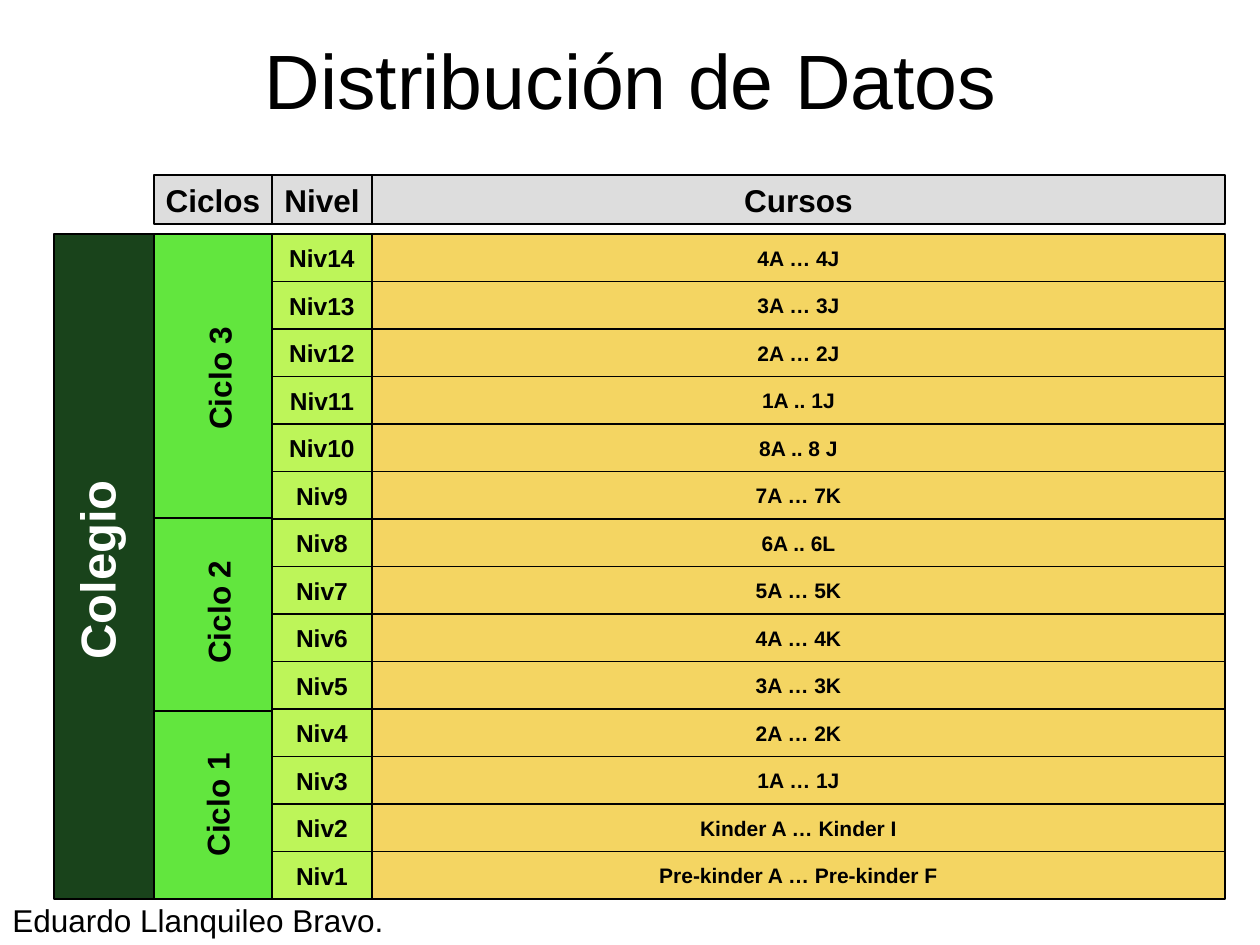
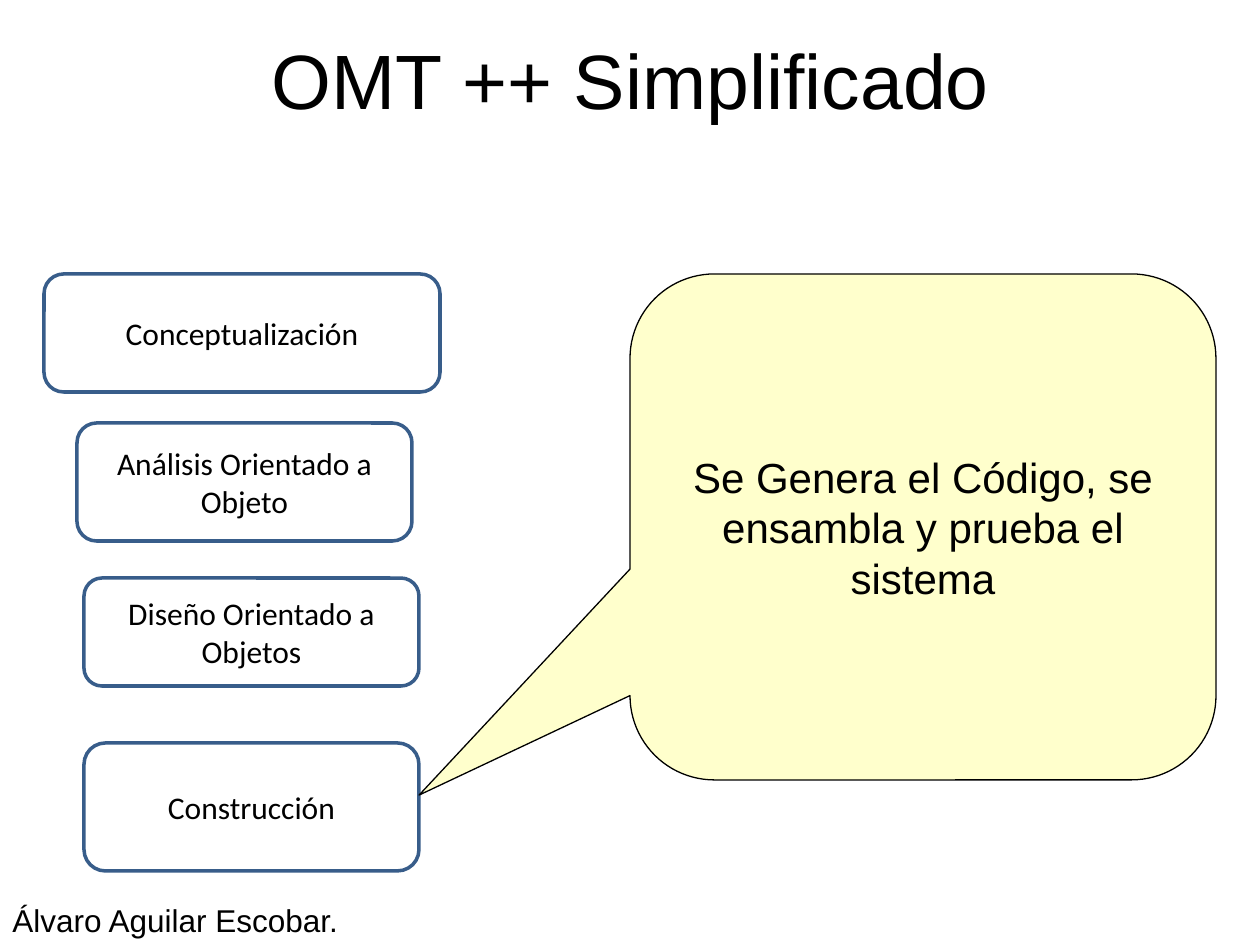
import pptx
import pptx.util
from pptx.dml.color import RGBColor
from pptx.enum.shapes import MSO_SHAPE
from pptx.enum.text import MSO_ANCHOR, PP_ALIGN

PX_PER_INCH = 126
BLACK = RGBColor(0x00, 0x00, 0x00)
WHITE = RGBColor(0xFF, 0xFF, 0xFF)
GREY = RGBColor(0xDD, 0xDD, 0xDD)
DARK_GREEN = RGBColor(0x19, 0x43, 0x1B)
GREEN = RGBColor(0x62, 0xE6, 0x3E)
LIME = RGBColor(0xBD, 0xF5, 0x59)
GOLD = RGBColor(0xF4, 0xD5, 0x62)
BLUE = RGBColor(0x38, 0x5D, 0x8A)
CREAM = RGBColor(0xFF, 0xFF, 0xCC)

# Columns and rows of the school grid
SCHOOL_X, CYCLE_X, LEVEL_X, COURSE_X, RIGHT = 54, 154, 272, 372, 1225
HEADER_TOP, HEADER_HEIGHT = 175, 49
GRID_TOP, GRID_BOTTOM = 234, 899
COURSES = [
    "4A … 4J", "3A … 3J", "2A … 2J", "1A .. 1J", "8A .. 8 J", "7A … 7K", "6A .. 6L",
    "5A … 5K", "4A … 4K", "3A … 3K", "2A … 2K", "1A … 1J",
    "Kinder A … Kinder I", "Pre-kinder A … Pre-kinder F",
]
# Name, top and bottom, label centre, label length
CYCLES = [
    ("Ciclo 3", 234, 518, (219, 378), 267),
    ("Ciclo 2", 518, 711, (218, 612), 161),
    ("Ciclo 1", 711, 899, (217, 805), 170),
]
PHASES = [
    ("Conceptualización", 44, 274, 396, 118),
    ("Análisis Orientado a Objeto", 77, 423, 335, 118),
    ("Diseño Orientado a Objetos", 84, 578, 335, 108),
    ("Construcción", 84, 743, 335, 128),
]


def px(length):
    return pptx.util.Emu(round(length * 914400 / PX_PER_INCH))


class SlideMaker:
    def __init__(self, deck):
        self.deck = deck
        self.slide = None

    def new_slide(self, title, author):
        """Start a slide with the shared title and author line."""
        self.slide = self.deck.slides.add_slide(self.deck.slide_layouts[6])
        self.text_box(title, 64, 0, 1134, 158, 44, PP_ALIGN.CENTER)
        self.text_box(author, 0, 895, 843, 50, 18, PP_ALIGN.LEFT)

    def add_text(self, shape, text, size, font="Arial", color=BLACK, bold=False,
                 align=PP_ALIGN.CENTER, wrap=True):
        frame = shape.text_frame
        frame.word_wrap = wrap
        frame.vertical_anchor = MSO_ANCHOR.MIDDLE
        para = frame.paragraphs[0]
        para.alignment = align
        span = para.add_run()
        span.text = text
        span.font.size = pptx.util.Pt(size)
        span.font.name = font
        span.font.bold = bold
        span.font.color.rgb = color

    def text_box(self, text, left, top, width, height, size, align):
        box = self.slide.shapes.add_textbox(px(left), px(top), px(width), px(height))
        self.add_text(box, text, size, align=align)

    def shape(self, kind, left, top, width, height, fill=None, line=BLACK, weight=0.75):
        shape = self.slide.shapes.add_shape(kind, px(left), px(top), px(width), px(height))
        shape.shadow.inherit = False
        if fill is None:
            shape.fill.background()
        else:
            shape.fill.solid()
            shape.fill.fore_color.rgb = fill
        if line is None:
            shape.line.fill.background()
        else:
            shape.line.color.rgb = line
            shape.line.width = pptx.util.Pt(weight)
        return shape

    def panel(self, left, top, right, bottom, fill):
        return self.shape(MSO_SHAPE.RECTANGLE, left, top, right - left, bottom - top, fill)

    def cell(self, text, left, top, right, bottom, fill, size):
        box = self.panel(left, top, right, bottom, fill)
        self.add_text(box, text, size, bold=True, wrap=False)

    def upright_label(self, text, centre, length, thickness, fill, size, color=BLACK):
        """Add a label that reads from bottom to top."""
        x, y = centre
        label = self.shape(MSO_SHAPE.RECTANGLE, x - length / 2, y - thickness / 2,
                           length, thickness, fill, line=None)
        label.rotation = 270
        self.add_text(label, text, size, color=color, bold=True)

    def phase(self, text, left, top, width, height):
        box = self.shape(MSO_SHAPE.ROUNDED_RECTANGLE, left, top, width, height,
                         line=BLUE, weight=2)
        self.add_text(box, text, 18, font="Calibri")

    def callout(self, text, left, top, width, height, tip):
        """Add a speech balloon; tip is relative to its centre and size."""
        balloon = self.shape(MSO_SHAPE.ROUNDED_RECTANGULAR_CALLOUT,
                             left, top, width, height, CREAM)
        balloon.adjustments[0], balloon.adjustments[1] = tip
        self.add_text(balloon, text, 24)


def add_data_slide(maker):
    maker.new_slide("Distribución de Datos", "Eduardo Llanquileo Bravo.")
    maker.panel(SCHOOL_X, GRID_TOP, CYCLE_X, GRID_BOTTOM, DARK_GREEN)
    maker.upright_label("Colegio", (96, 570), 639, 72, DARK_GREEN, 28, WHITE)

    for name, top, bottom, centre, length in CYCLES:
        maker.panel(CYCLE_X, top, LEVEL_X, bottom, GREEN)
        maker.upright_label(name, centre, length, 50, GREEN, 18)

    headers = [("Ciclos", CYCLE_X, LEVEL_X), ("Nivel", LEVEL_X, COURSE_X),
               ("Cursos", COURSE_X, RIGHT)]
    for name, left, right in headers:
        maker.cell(name, left, HEADER_TOP, right, HEADER_TOP + HEADER_HEIGHT, GREY, 18)

    row_height = (GRID_BOTTOM - GRID_TOP) / len(COURSES)
    for row, courses in enumerate(COURSES):
        top = GRID_TOP + row * row_height
        bottom = top + row_height
        level = f"Niv{len(COURSES) - row}"
        maker.cell(level, LEVEL_X, top, COURSE_X, bottom, LIME, 14)
        maker.cell(courses, COURSE_X, top, RIGHT, bottom, GOLD, 12)


def add_method_slide(maker):
    maker.new_slide("OMT ++ Simplificado", "Álvaro Aguilar Escobar.")
    for phase in PHASES:
        maker.phase(*phase)
    maker.callout("Se Genera el Código, se ensambla y prueba el sistema",
                  630, 274, 586, 506, (-0.86, 0.53))


def main():
    deck = pptx.Presentation()
    deck.slide_width = px(1260)
    deck.slide_height = px(945)
    maker = SlideMaker(deck)
    add_data_slide(maker)
    add_method_slide(maker)
    deck.save("out.pptx")


if __name__ == "__main__":
    main()
